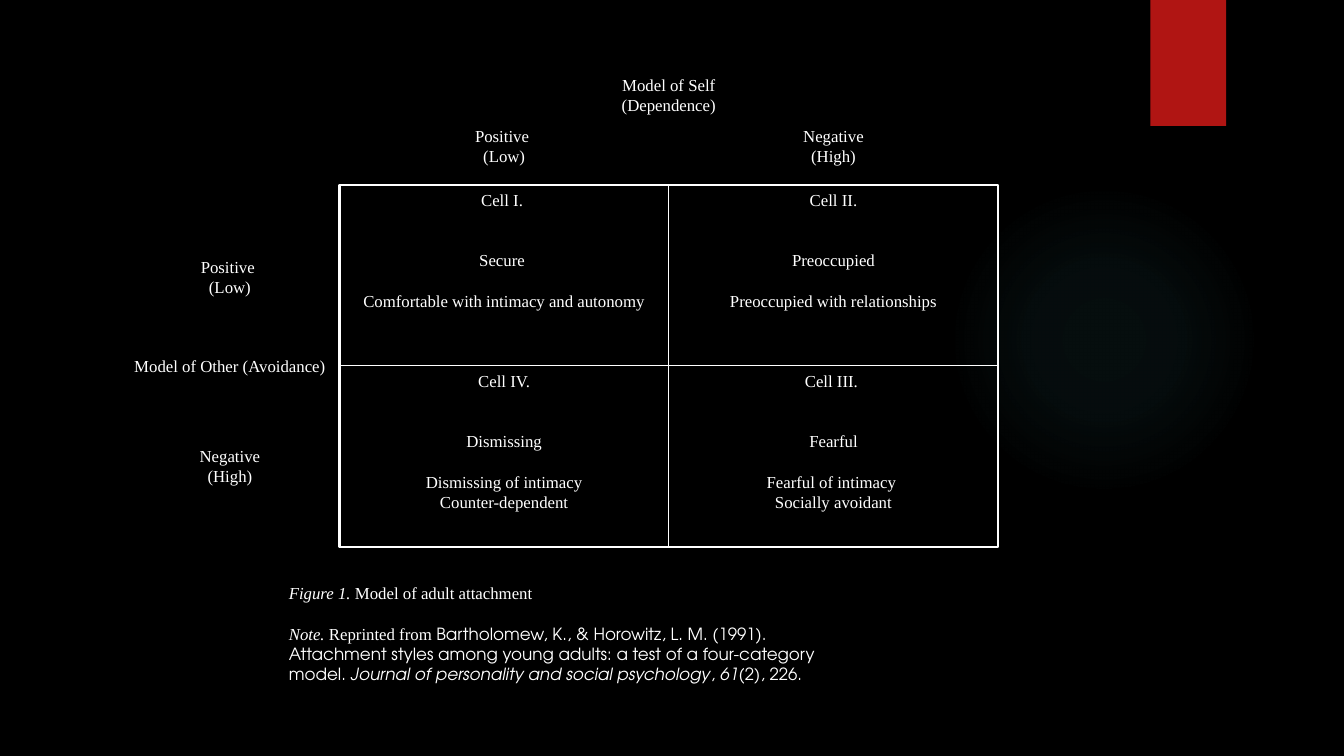
from lxml import etree
from pptx import Presentation
from pptx.dml.color import RGBColor
from pptx.enum.shapes import MSO_CONNECTOR, MSO_SHAPE
from pptx.enum.text import MSO_AUTO_SIZE, PP_ALIGN
from pptx.oxml import parse_xml
from pptx.oxml.ns import nsdecls, qn
from pptx.util import Pt

RECTANGLE, OVAL = MSO_SHAPE.RECTANGLE, MSO_SHAPE.OVAL
STRAIGHT = MSO_CONNECTOR.STRAIGHT
CENTER, LEFT = PP_ALIGN.CENTER, PP_ALIGN.LEFT
GROW = MSO_AUTO_SIZE.SHAPE_TO_FIT_TEXT

BLACK = RGBColor(0x00, 0x00, 0x00)
WHITE = RGBColor(0xFF, 0xFF, 0xFF)
RED = RGBColor(0xB0, 0x15, 0x13)
TEAL = RGBColor(0x50, 0xB9, 0xC1)

SERIF = "Times New Roman"
SANS = "TeX Gyre Adventor"
TEXT_SIZE = 12
TOP, SIDE_LEFT, BOTTOM, SIDE_RIGHT = range(4)

GRID_LEFT, GRID_TOP, GRID_WIDTH, GRID_HEIGHT = 242.5, 132, 470.5, 258.5
CELL_WIDTH, CELL_HEIGHT = GRID_WIDTH / 2, GRID_HEIGHT / 2
ROW_LABEL_CENTER = 164.25
TWO_LINES = 36

CELLS = [
    [("Cell I. ", "Secure ", "Comfortable with intimacy and autonomy"),
     ("Cell II.", "Preoccupied", "Preoccupied with relationships")],
    [("Cell IV.", "Dismissing", "Dismissing of intimacy", "Counter-dependent"),
     ("Cell III. ", "Fearful", "Fearful of intimacy ", "Socially avoidant")],
]
LEVELS = [("Positive ", "(Low)"), ("Negative", "(High)")]
CELL_GAPS = (0, 28.5, 14.75, 0)
ROW_LABEL_TOPS = (180, 314.5)
CAPTION = [
    [("Figure 1. ", SERIF, True), ("Model of adult attachment", SERIF, False)],
    [("Note. ", SERIF, True), ("Reprinted from ", SERIF, False),
     ("Bartholomew, K., & Horowitz, L. M. (1991). Attachment styles among "
      "young adults: a test of a four-category model. ", SANS, False),
     ("Journal of personality and social psychology", SANS, True),
     (", ", SANS, False), ("61", SANS, True), ("(2), 226.", SANS, False)],
]


class SlideBuilder:
    def __init__(self, slide):
        self.slide = slide
        self.slide.background.fill.solid()
        self.slide.background.fill.fore_color.rgb = BLACK

    def shape(self, kind, left, top, width, height, fill=None, line_width=None):
        shape = self.slide.shapes.add_shape(
            kind, Pt(left), Pt(top), Pt(width), Pt(height))
        shape.shadow.inherit = False
        if fill is None:
            shape.fill.background()
        else:
            shape.fill.solid()
            shape.fill.fore_color.rgb = fill
        if line_width is None:
            shape.line.fill.background()
        else:
            shape.line.color.rgb = WHITE
            shape.line.width = Pt(line_width)
        return shape

    def glow(self, left, top, size, color, stops):
        disc = self.shape(OVAL, left, top, size, size, color)
        stop_xml = "".join(
            f'<a:gs pos="{position * 1000}"><a:srgbClr val="{color}">'
            f'<a:alpha val="{alpha * 1000}"/></a:srgbClr></a:gs>'
            for position, alpha in stops)
        gradient = parse_xml(
            f'<a:gradFill {nsdecls("a")} rotWithShape="1"><a:gsLst>{stop_xml}</a:gsLst>'
            '<a:path path="circle"><a:fillToRect l="50000" t="50000" r="50000" '
            'b="50000"/></a:path></a:gradFill>')
        properties = disc.element.spPr
        properties.replace(properties.find(qn("a:solidFill")), gradient)

    def divider(self, frame, start_side, end_side):
        line = self.slide.shapes.add_connector(STRAIGHT, 0, 0, 0, 0)
        line.begin_connect(frame, start_side)
        line.end_connect(frame, end_side)
        line.line.color.rgb = WHITE
        line.line.width = Pt(0.75)
        etree.SubElement(line.element.spPr, qn("a:effectLst"))

    def text(self, left, top, width, height, paragraphs, gaps, align):
        box = self.slide.shapes.add_textbox(
            Pt(left), Pt(top), Pt(width), Pt(height))
        frame = box.text_frame
        frame.word_wrap = True
        frame.auto_size = GROW
        for index, (runs, gap) in enumerate(zip(paragraphs, gaps)):
            paragraph = frame.add_paragraph() if index else frame.paragraphs[0]
            paragraph.alignment = align
            paragraph.space_before = Pt(gap)
            for words, font_name, italic in runs:
                run = paragraph.add_run()
                run.text = words
                run.font.name = font_name
                run.font.size = Pt(TEXT_SIZE)
                run.font.italic = italic
                run.font.color.rgb = WHITE

    def label(self, left, top, width, height, lines, gaps=(0, 0)):
        paragraphs = [[(line, SERIF, False)] for line in lines]
        self.text(left, top, width, height, paragraphs, gaps, CENTER)


def main():
    presentation = Presentation()
    presentation.slide_width, presentation.slide_height = Pt(960), Pt(540)
    builder = SlideBuilder(
        presentation.slides.add_slide(presentation.slide_layouts[6]))

    builder.glow(677.5, 131.75, 221.75, TEAL, [(0, 7), (36, 6), (69, 0)])
    builder.shape(RECTANGLE, 821.75, 0, 54, 90, RED)

    grid = builder.shape(RECTANGLE, GRID_LEFT, GRID_TOP, GRID_WIDTH,
                         GRID_HEIGHT, line_width=1.5)
    builder.divider(grid, TOP, BOTTOM)
    builder.divider(grid, SIDE_LEFT, SIDE_RIGHT)

    for row, cells in enumerate(CELLS):
        for column, lines in enumerate(cells):
            builder.label(GRID_LEFT + column * CELL_WIDTH,
                          GRID_TOP + row * CELL_HEIGHT,
                          CELL_WIDTH, 94.5 + row * 14.5, lines, CELL_GAPS)

    builder.label(GRID_LEFT, 49.75, GRID_WIDTH, TWO_LINES,
                  ("Model of Self", "(Dependence)"))
    builder.label(ROW_LABEL_CENTER - 112, 250.5, 224, 21.75,
                  ("Model of Other (Avoidance)",))
    for index, (level, row_top) in enumerate(zip(LEVELS, ROW_LABEL_TOPS)):
        builder.label(GRID_LEFT + index * CELL_WIDTH, 86.25, CELL_WIDTH,
                      TWO_LINES, level)
        builder.label(ROW_LABEL_CENTER - 69.5, row_top, 139, TWO_LINES, level)

    builder.text(199.25, 412.5, 429, 80, CAPTION, (0, 14.75), LEFT)
    presentation.save("out.pptx")


if __name__ == "__main__":
    main()
